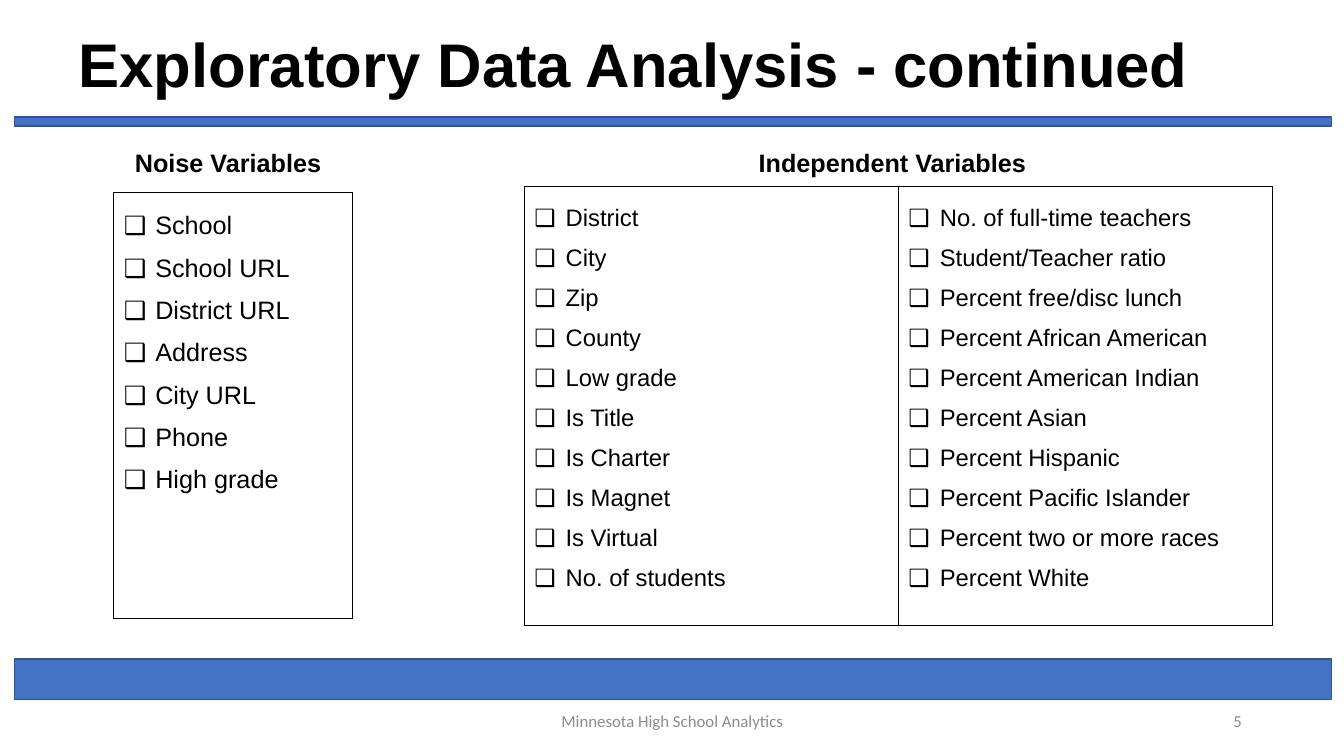
from lxml import etree
from pptx import Presentation
from pptx import util as u
from pptx.dml import color
from pptx.enum import shapes, text
from pptx.oxml import ns

LABELS = [
    ("Exploratory Data Analysis - continued", "title", (1.73, 0.74, 29.21, 2.82)),
    ("Noise Variables", "head", (3.15, 3.58, 5.41, 1.02)),
    ("Independent Variables", "head", (18.87, 3.58, 7.54, 1.02)),
    ("Minnesota High School Analytics", "foot", (11.23, 17.65, 11.43, 1.02)),
    ("5", "page", (23.93, 17.65, 7.62, 1.02)),
]
NOISE = ["School", "School URL", "District URL", "Address", "City URL",
         "Phone", "High grade"]
PLACE = ["District", "City", "Zip", "County", "Low grade", "Is Title",
         "Is Charter", "Is Magnet", "Is Virtual", "No. of students"]
PEOPLE = ["No. of full-time teachers", "Student/Teacher ratio",
          "Percent free/disc lunch", "Percent African American",
          "Percent American Indian", "Percent Asian", "Percent Hispanic",
          "Percent Pacific Islander", "Percent two or more races",
          "Percent White"]
GRIDS = [
    ([NOISE], "noise", (2.87, 4.86, 6.02, 10.72)),
    ([PLACE, PEOPLE], "indep", (13.21, 4.7, 18.86, 11.04)),
]
BARS = [(2.95, 0.23), (16.61, 1.02)]
BAR_X, BAR_W = 0.37, 33.18
INDENT = 0.79

RGB = color.RGBColor.from_string
BLACK, GREY = RGB("000000"), RGB("8C8C8C")
ALIGN, MID = text.PP_ALIGN, text.MSO_ANCHOR.MIDDLE
THEME = {
    "bar": RGB("4472C4"),
    "edge": RGB("325491"),
    "rule": "000000",
    "title": {"font": {"size": u.Pt(44), "name": "Arial", "bold": True}, "ink": BLACK,
              "para": {"line_spacing": 0.9, "space_before": u.Pt(10)}},
    "head": {"font": {"size": u.Pt(18), "name": "Arial", "bold": True}, "ink": BLACK},
    "foot": {"font": {"size": u.Pt(12), "name": "Calibri"}, "ink": GREY,
             "para": {"alignment": ALIGN.CENTER}, "anchor": MID},
    "page": {"font": {"size": u.Pt(12), "name": "Calibri"}, "ink": GREY,
             "para": {"alignment": ALIGN.RIGHT}, "anchor": MID},
    "noise": {"font": {"size": u.Pt(18), "name": "Arial"}, "ink": BLACK,
              "para": {"line_spacing": 1.5}},
    "indep": {"font": {"size": u.Pt(17), "name": "Arial"}, "ink": BLACK,
              "para": {"line_spacing": 1.5}},
}


def cm(box):
    return [u.Cm(v) for v in box]


def put(item, vals):
    for key, val in vals.items():
        setattr(item, key, val)


def sub(node, tag, **vals):
    return etree.SubElement(node, ns.qn(tag), **vals)


def write(para, line, look):
    put(para, look.get("para", {}))
    run = para.add_run()
    run.text = line
    put(run.font, look["font"])
    run.font.color.rgb = look["ink"]


def label(slide, line, kind, box):
    look = THEME[kind]
    frame = slide.shapes.add_textbox(*cm(box)).text_frame
    put(frame, {"word_wrap": True,
                "vertical_anchor": look.get("anchor", text.MSO_ANCHOR.TOP)})
    write(frame.paragraphs[0], line, look)


def bar(slide, top, high):
    shape = slide.shapes.add_shape(shapes.MSO_SHAPE.RECTANGLE,
                                   *cm((BAR_X, top, BAR_W, high)))
    shape.shadow.inherit = False
    shape.fill.solid()
    shape.fill.fore_color.rgb = THEME["bar"]
    shape.line.color.rgb = THEME["edge"]
    shape.line.width = u.Pt(1)


def bullet(para):
    props = para._p.get_or_add_pPr()
    step = u.Cm(INDENT)
    props.set("marL", str(step))
    props.set("indent", str(-step))
    sub(props, "a:buFont", typeface="Arial")
    sub(props, "a:buChar", char="❑")


def border(cell):
    props = cell._tc.get_or_add_tcPr()
    for side in ("a:lnL", "a:lnR", "a:lnT", "a:lnB"):
        line = sub(props, side, w=str(u.Pt(1)))
        sub(sub(line, "a:solidFill"), "a:srgbClr", val=THEME["rule"])


def grid(slide, cols, kind, box):
    table = slide.shapes.add_table(1, len(cols), *cm(box)).table
    put(table, {"first_row": False, "horz_banding": False})
    for cell, lines in zip(table.rows[0].cells, cols):
        border(cell)
        cell.fill.background()
        frame = cell.text_frame
        for i, line in enumerate(lines):
            para = frame.add_paragraph() if i else frame.paragraphs[0]
            write(para, line, THEME[kind])
            bullet(para)


def main():
    deck = Presentation()
    put(deck, {"slide_width": u.Cm(33.87), "slide_height": u.Cm(19.05)})
    slide = deck.slides.add_slide(deck.slide_layouts[6])
    for item in BARS:
        bar(slide, *item)
    for item in LABELS:
        label(slide, *item)
    for item in GRIDS:
        grid(slide, *item)
    deck.save("out.pptx")


if __name__ == "__main__":
    main()
